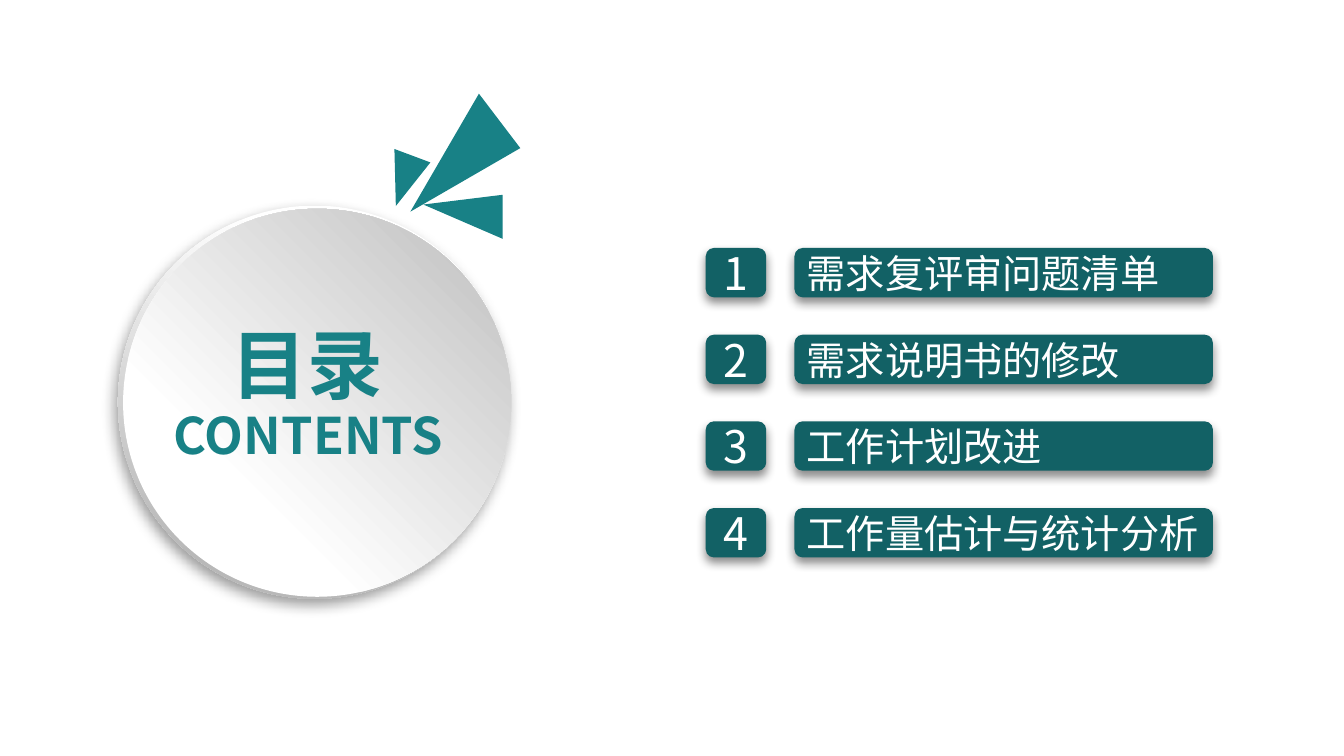
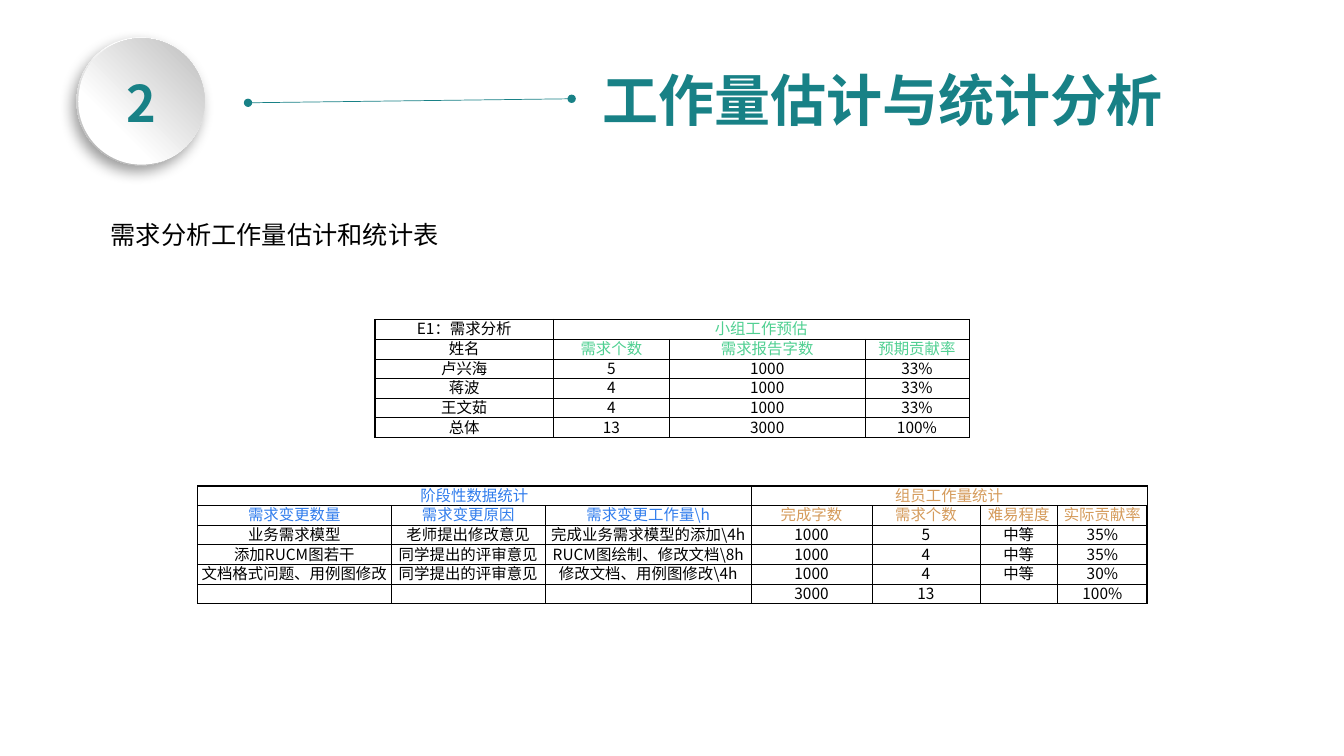
from lxml.etree import SubElement
from pptx import Presentation
from pptx.dml.color import RGBColor
from pptx.enum.shapes import MSO_CONNECTOR as Connector, MSO_SHAPE as Preset
from pptx.enum.text import MSO_ANCHOR as Anchor, MSO_AUTO_SIZE as AutoSize, PP_ALIGN as Align
from pptx.oxml.ns import qn
from pptx.util import Inches, Pt

FONT = "Noto Sans CJK SC"
COLORS = {
    "teal": "188186", "deep": "126165", "white": "FFFFFF", "black": "000000",
    "rim": "B8B8B8", "face": "BFBFBF", "green": "50D092", "blue": "317DED", "orange": "D59B5B",
}
TOPICS = ["需求复评审问题清单", "需求说明书的修改", "工作计划改进", "工作量估计与统计分析"]
RAYS = [
    (0, [(4.07, 2.1), (4.75, 0.93), (5.16, 1.47)]),
    (16, [(4.21, 2.15), (4.94, 1.84), (5.06, 2.26)]),
    (16, [(4, 2.06), (3.83, 1.52), (4.21, 1.55)]),
]
ESTIMATE = {
    "at": (3.72, 3.17), "columns": [1.77, 1.15, 1.94, 1.03], "thick_side": "L",
    "merges": [(1, 3)], "head_colors": ["black"] + ["green"] * 3,
    "rows": [
        ["E1：需求分析", "小组工作预估", "", ""],
        ["姓名", "需求个数", "需求报告字数", "预期贡献率"],
        ["卢兴海", "5", "1000", "33%"],
        ["蒋波", "4", "1000", "33%"],
        ["王文茹", "4", "1000", "33%"],
        ["总体", "13", "3000", "100%"],
    ],
}
STATISTICS = {
    "at": (1.96, 4.82), "columns": [1.92, 1.53, 2.04, 1.2, 1.07, 0.77, 0.89], "thick_side": "R",
    "merges": [(0, 2), (3, 6)], "head_colors": ["blue"] * 3 + ["orange"] * 4,
    "rows": [
        ["阶段性数据统计", "", "", "组员工作量统计", "", "", ""],
        ["需求变更数量", "需求变更原因", "需求变更工作量\\h", "完成字数", "需求个数", "难易程度", "实际贡献率"],
        ["业务需求模型", "老师提出修改意见", "完成业务需求模型的添加\\4h", "1000", "5", "中等", "35%"],
        ["添加RUCM图若干", "同学提出的评审意见", "RUCM图绘制、修改文档\\8h", "1000", "4", "中等", "35%"],
        ["文档格式问题、用例图修改", "同学提出的评审意见", "修改文档、用例图修改\\4h", "1000", "4", "中等", "30%"],
        ["", "", "", "3000", "13", "", "100%"],
    ],
}
ROW_HEIGHT = 0.195
CELL_SIZE = 11


def rgb(name):
    return RGBColor.from_string(COLORS[name])


def inches(*values):
    return [Inches(value) for value in values]


def write(frame, text, size, color="teal", bold=False, align=Align.LEFT, anchor=Anchor.TOP, wrap=True):
    frame.auto_size = AutoSize.NONE
    frame.word_wrap = wrap
    frame.vertical_anchor = anchor
    put_text(frame.paragraphs[0], text, size, color, bold, align)


def put_text(para, text, size, color, bold=False, align=Align.CENTER):
    para.alignment = align
    span = para.add_run()
    span.text = text
    span.font.size = Pt(size)
    span.font.bold = bold
    span.font.color.rgb = rgb(color)
    span.font.name = FONT
    SubElement(span.font._element, qn("a:ea"), typeface=FONT)


def add_text(page, at, text, size, **style):
    box = page.shapes.add_textbox(*inches(*at))
    write(box.text_frame, text, size, **style)


def set_title(page, at, text, size, **style):
    title = page.shapes.title
    title.left, title.top, title.width, title.height = inches(*at)
    write(title.text_frame, text, size, bold=True, **style)
    title.element.getparent().append(title.element)


def add_shadow(shape, alpha, blur, distance, angle):
    effects = SubElement(shape.element.spPr, qn("a:effectLst"))
    shadow = SubElement(effects, qn("a:outerShdw"), blurRad=str(Pt(blur)), dist=str(Pt(distance)),
                        dir=str(angle * 60000), algn="ctr", rotWithShape="0")
    tint = SubElement(shadow, qn("a:srgbClr"), val=COLORS["black"])
    SubElement(tint, qn("a:alpha"), val=str(alpha * 1000))


def add_oval(page, left, top, size, angle, stops):
    oval = page.shapes.add_shape(Preset.OVAL, *inches(left, top, size, size))
    oval.line.fill.background()
    oval.fill.gradient()
    oval.fill.gradient_angle = angle
    for stop, (position, color) in zip(oval.fill.gradient_stops, stops):
        stop.position = position
        stop.color.rgb = rgb(color)
    return oval


def add_disc(page, left, top, size):
    rim = add_oval(page, left, top, size, 253, [(0.17, "white"), (0.88, "rim")])
    add_shadow(rim, 39, 10, 5, 123)
    face = add_oval(page, left + size * 0.013, top + size * 0.008, size * 0.987, 45,
                    [(0.29, "white"), (0.98, "face")])
    face.shadow.inherit = False


def add_bar(page, left, top, width, text, size, align):
    bar = page.shapes.add_shape(Preset.ROUNDED_RECTANGLE, *inches(left, top, width, 0.49))
    bar.fill.solid()
    bar.fill.fore_color.rgb = rgb("deep")
    bar.line.fill.background()
    add_shadow(bar, 46, 7, 4, 90)
    write(bar.text_frame, text, size, color="white", align=align, anchor=Anchor.MIDDLE)


def add_ray(page, angle, points):
    start, *rest = [inches(*point) for point in points]
    builder = page.shapes.build_freeform(*start, scale=1.0)
    builder.add_line_segments(rest, close=True)
    ray = builder.convert_to_shape()
    ray.rotation = angle
    ray.fill.solid()
    ray.fill.fore_color.rgb = rgb("teal")
    ray.line.fill.background()
    ray.shadow.inherit = False


def add_borders(cell, thick_sides):
    properties = cell._tc.get_or_add_tcPr()
    for side in "LRTB":
        width = Pt(1.2 if side in thick_sides else 0.5)
        line = SubElement(properties, qn(f"a:ln{side}"), w=str(width))
        fill = SubElement(line, qn("a:solidFill"))
        SubElement(fill, qn("a:srgbClr"), val=COLORS["black"])


def add_grid(page, data):
    rows, columns = data["rows"], data["columns"]
    last_row, last_column = len(rows) - 1, len(columns) - 1
    frame = page.shapes.add_table(len(rows), len(columns),
                                  *inches(*data["at"], sum(columns), ROW_HEIGHT * len(rows)))
    table = frame.table
    table.first_row = table.horz_banding = False
    for column, width in zip(table.columns, columns):
        column.width = Inches(width)
    for r, texts in enumerate(rows):
        table.rows[r].height = Inches(ROW_HEIGHT)
        for c, text in enumerate(texts):
            cell = table.cell(r, c)
            cell.margin_left = cell.margin_right = cell.margin_top = cell.margin_bottom = 0
            cell.vertical_anchor = Anchor.MIDDLE if r < 2 or (c == 0 and data is ESTIMATE) else Anchor.BOTTOM
            edges = {"T": r == 0, "B": r == last_row, "L": c == 0, "R": c == last_column}
            add_borders(cell, [side for side in "TB" + data["thick_side"] if edges[side]])
            cell.fill.background()
            para = cell.text_frame.paragraphs[0]
            para.line_spacing = Pt(14)
            if text:
                put_text(para, text, CELL_SIZE, data["head_colors"][c] if r < 2 else "black")
            else:
                SubElement(para._p, qn("a:endParaRPr"), sz=str(CELL_SIZE * 100))
    for first, last in data["merges"]:
        table.cell(0, first).merge(table.cell(0, last))


def add_dotted_end_line(page, start, end):
    line = page.shapes.add_connector(Connector.STRAIGHT, *inches(*start, *end))
    line.line.color.rgb = rgb("teal")
    line.line.width = Pt(0.5)
    outline = line.line._get_or_add_ln()
    for tag in ("a:headEnd", "a:tailEnd"):
        SubElement(outline, qn(tag), type="oval")
    SubElement(line.element.spPr, qn("a:effectLst"))


def build_contents(page):
    add_disc(page, 1.17, 2.04, 3.9)
    for angle, points in RAYS:
        add_ray(page, angle, points)
    add_text(page, (1.43, 3.96, 3.26, 0.71), "CONTENTS", 36, bold=True, align=Align.CENTER)
    set_title(page, (1.42, 3.1, 3.26, 1.01), "目录", 54, align=Align.CENTER)
    for index, topic in enumerate(TOPICS):
        top = 2.46 + index * 0.86
        add_bar(page, 7, top, 0.6, str(index + 1), 32, Align.CENTER)
        add_bar(page, 7.88, top, 4.15, topic, 28, Align.LEFT)


def build_statistics(page):
    add_text(page, (1, 2.13, 3.92, 0.42), "需求分析工作量估计和统计表", 18, color="black")
    for data in (ESTIMATE, STATISTICS):
        add_grid(page, data)
    add_disc(page, 0.76, 0.37, 1.27)
    add_text(page, (0.74, 0.67, 1.32, 0.71), "2", 36, bold=True, align=Align.CENTER)
    add_dotted_end_line(page, (2.46, 1.02), (5.67, 0.98))
    set_title(page, (5.88, 0.6, 5.81, 0.77), TOPICS[-1], 40, wrap=False)


def main():
    deck = Presentation()
    deck.slide_width, deck.slide_height = inches(13.33, 7.5)
    title_only = deck.slide_layouts[5]
    for build in (build_contents, build_statistics):
        build(deck.slides.add_slide(title_only))
    deck.save("out.pptx")


if __name__ == "__main__":
    main()
